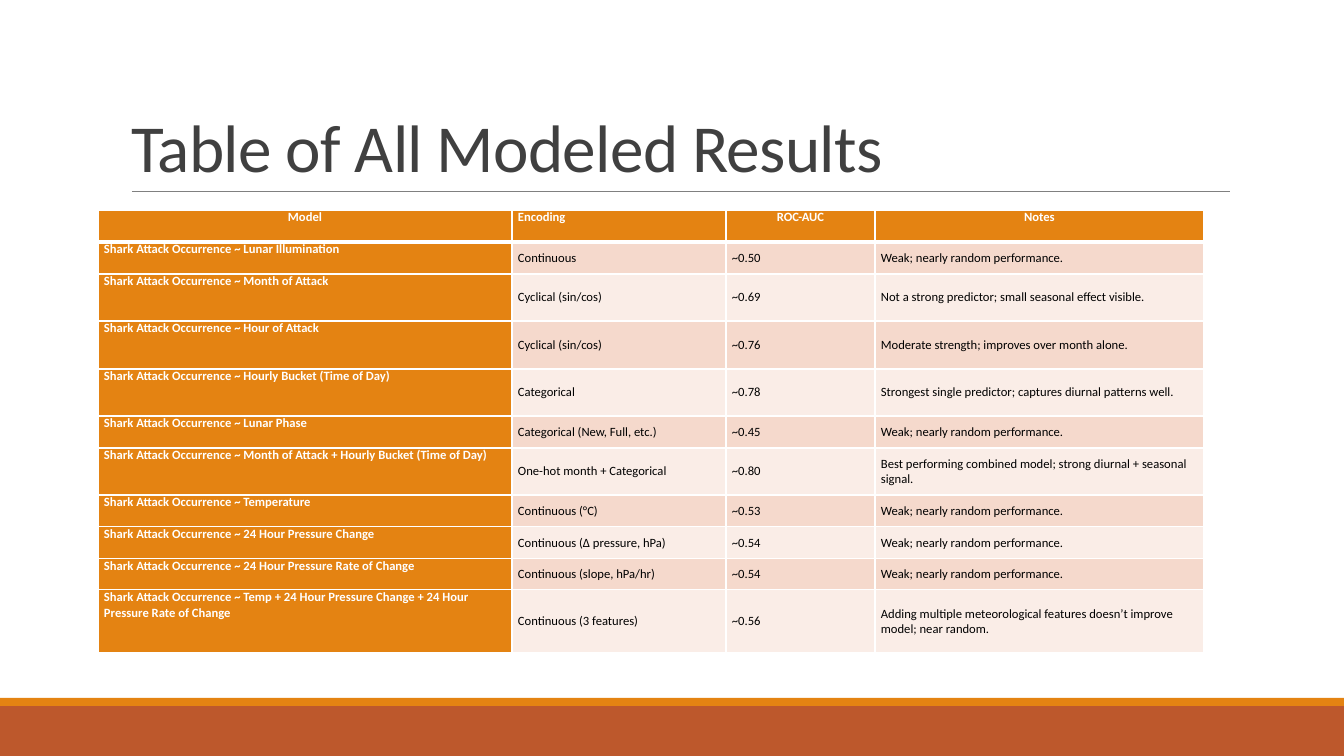
"""Build a slide with a table of shark attack model results."""
import pptx
import pptx.dml.color
import pptx.enum.shapes
import pptx.enum.text
import pptx.oxml
import pptx.oxml.ns
import pptx.util

PX = 914400 / 100.8
THEME = {
    "font": "Calibri", "title_size": 48, "table_size": 9,
    "title": "404040", "rule": "808080", "accent": "E48312", "footer": "BD582C",
    "bands": ["F5D9CC", "FAEDE7"], "light": "FFFFFF", "dark": "000000",
}
ANCHOR = pptx.enum.text.MSO_ANCHOR
ALIGN = pptx.enum.text.PP_ALIGN
color = pptx.dml.color.RGBColor.from_string


def emu(*lengths):
    return [pptx.util.Emu(round(length * PX)) for length in lengths]


def apply_format(target, values):
    for name, value in values.items():
        setattr(target, name, value)


presentation = pptx.Presentation()
presentation.slide_width, presentation.slide_height = emu(1344, 756)
slide = presentation.slides.add_slide(presentation.slide_layouts[5])

for top, height, fill in [(706, 50, THEME["footer"]), (698, 8, THEME["accent"])]:
    band = slide.shapes.add_shape(
        pptx.enum.shapes.MSO_SHAPE.RECTANGLE, *emu(0, top, 1344, height))
    band.shadow.inherit = False
    band.fill.solid()
    band.fill.fore_color.rgb = color(fill)
    band.line.fill.background()

rule = slide.shapes.add_connector(
    pptx.enum.shapes.MSO_CONNECTOR.STRAIGHT, *emu(132, 191, 1230, 191))
rule.line.color.rgb = color(THEME["rule"])
rule.line.width = pptx.util.Pt(0.5)
rule._element.spPr.append(pptx.oxml.parse_xml(
    f'<a:effectLst {pptx.oxml.ns.nsdecls("a")}/>'))

title = slide.shapes.title
apply_format(title, dict(zip(("left", "top", "width", "height"), emu(121, 31, 1109, 160))))
title.text_frame.text = "Table of All Modeled Results"
apply_format(title.text_frame, {
    "word_wrap": True, "vertical_anchor": ANCHOR.BOTTOM,
    "auto_size": pptx.enum.text.MSO_AUTO_SIZE.NONE})
paragraph = title.text_frame.paragraphs[0]
apply_format(paragraph, {"alignment": ALIGN.LEFT, "line_spacing": 0.85})
run = paragraph.runs[0]
apply_format(run.font, {"name": THEME["font"], "size": pptx.util.Pt(THEME["title_size"])})
run.font.color.rgb = color(THEME["title"])
run.font._element.set("spc", "-50")

WEAK = "Weak; nearly random performance."
SUBJECT = "Shark Attack Occurrence ~ "
results = [
    (32, "Lunar Illumination", "Continuous", "~0.50", WEAK),
    (47, "Month of Attack", "Cyclical (sin/cos)", "~0.69",
     "Not a strong predictor; small seasonal effect visible."),
    (48, "Hour of Attack", "Cyclical (sin/cos)", "~0.76",
     "Moderate strength; improves over month alone."),
    (47, "Hourly Bucket (Time of Day)", "Categorical", "~0.78",
     "Strongest single predictor; captures diurnal patterns well."),
    (32, "Lunar Phase", "Categorical (New, Full, etc.)", "~0.45", WEAK),
    (47, "Month of Attack + Hourly Bucket (Time of Day)",
     "One-hot month + Categorical", "~0.80",
     "Best performing combined model; strong diurnal + seasonal signal."),
    (32, "Temperature", "Continuous (°C)", "~0.53", WEAK),
    (32, "24 Hour Pressure Change", "Continuous (Δ pressure, hPa)", "~0.54", WEAK),
    (31, "24 Hour Pressure Rate of Change", "Continuous (slope, hPa/hr)", "~0.54", WEAK),
    (63, "Temp + 24 Hour Pressure Change + 24 Hour Pressure Rate of Change",
     "Continuous (3 features)", "~0.56",
     "Adding multiple meteorological features doesn’t improve model; near random."),
]
rows = [(32, "Model", "Encoding", "ROC-AUC", "Notes")]
rows += [(height, SUBJECT + model, *rest) for height, model, *rest in results]
widths = [414, 214, 149, 329]

table = slide.shapes.add_table(
    len(rows), len(widths), *emu(98, 210, sum(widths), sum(row[0] for row in rows))).table
apply_format(table, {"first_row": False, "horz_banding": False})
for column, width in zip(table.columns, emu(*widths)):
    column.width = width

side_margin, no_margin = emu(6, 0)
cell_margins = {"margin_left": side_margin, "margin_right": side_margin,
                "margin_top": no_margin, "margin_bottom": no_margin}

for row_index, (height, *texts) in enumerate(rows):
    table.rows[row_index].height = emu(height)[0]
    for column_index, text in enumerate(texts):
        is_header = row_index == 0
        is_label = is_header or column_index == 0
        cell = table.cell(row_index, column_index)
        cell.text = text
        apply_format(cell, cell_margins)
        cell.vertical_anchor = ANCHOR.TOP if is_label else ANCHOR.MIDDLE
        paragraph = cell.text_frame.paragraphs[0]
        centered = is_header and column_index != 1
        paragraph.alignment = ALIGN.CENTER if centered else ALIGN.LEFT
        font = paragraph.runs[0].font
        apply_format(font, {"name": THEME["font"], "bold": is_label,
                            "size": pptx.util.Pt(THEME["table_size"])})
        font.color.rgb = color(THEME["light"] if is_label else THEME["dark"])
        for side in "LRTB":
            thick = (row_index, side) in [(0, "B"), (1, "T")]
            cell._tc.get_or_add_tcPr().append(pptx.oxml.parse_xml(
                f'<a:ln{side} {pptx.oxml.ns.nsdecls("a")} w="{38100 if thick else 12700}">'
                f'<a:solidFill><a:srgbClr val="{THEME["light"]}"/></a:solidFill></a:ln{side}>'))
        cell.fill.solid()
        cell.fill.fore_color.rgb = color(
            THEME["accent"] if is_label else THEME["bands"][(row_index - 1) % 2])

presentation.save("out.pptx")
